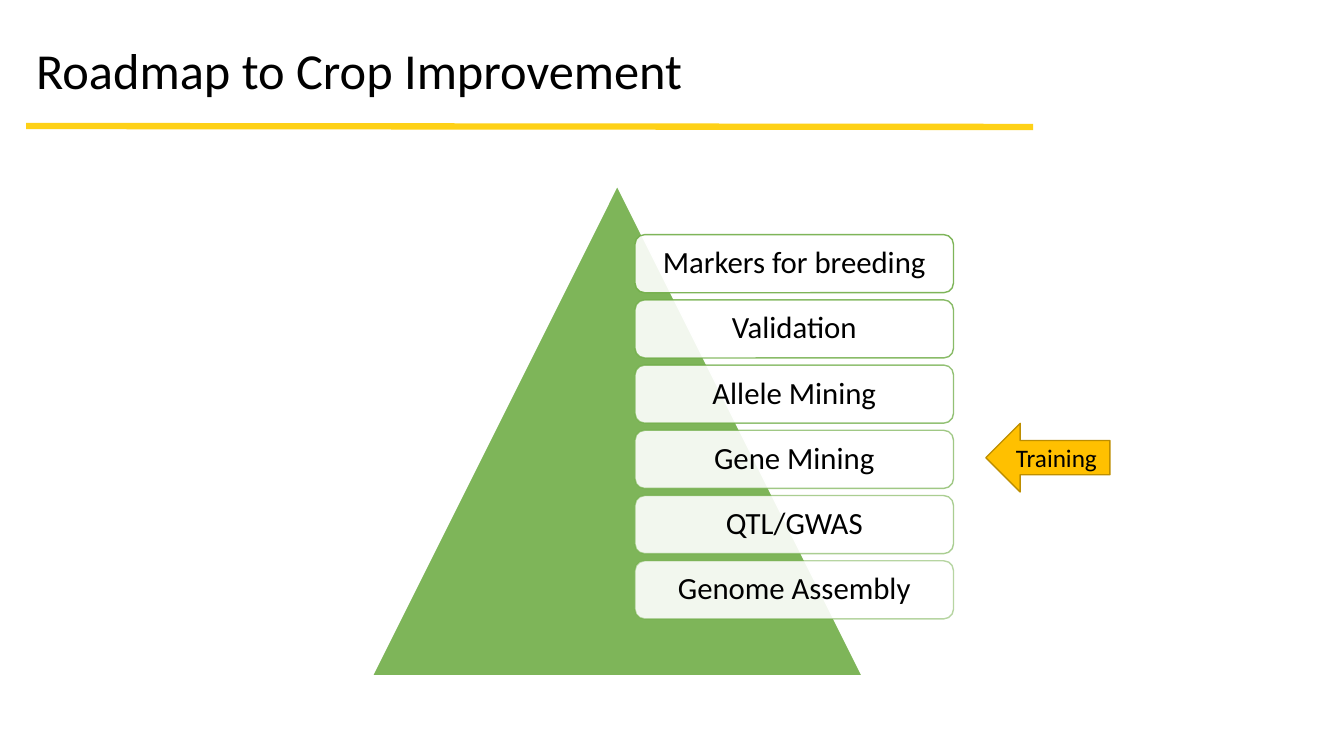
from lxml.etree import SubElement
from pptx import Presentation
from pptx.dml.color import RGBColor
from pptx.enum.shapes import MSO_CONNECTOR, MSO_SHAPE
from pptx.enum.text import MSO_ANCHOR, PP_ALIGN
from pptx.oxml.ns import qn
from pptx.util import Pt

STEPS = ["Markers for breeding", "Validation", "Allele Mining",
         "Gene Mining", "QTL/GWAS", "Genome Assembly"]
GREEN, GOLD, WHITE = "70AD47", "FFC000", "FFFFFF"
STEP_TOP, STEP_PITCH = 167.6, 46.6


def paint(fill, color, opacity=100):
    """Make a fill solid, with opacity in percent."""
    fill.solid()
    fill.fore_color.rgb = RGBColor.from_string(color)
    if opacity < 100:
        clr = fill._xPr.find(qn("a:solidFill"))[0]
        SubElement(clr, qn("a:alpha"), val=str(opacity * 1000))


def write(s, text, size=22, font="Calibri", color="000000",
          align=PP_ALIGN.CENTER, spacing=None, inset=7.2):
    tf = s.text_frame
    tf.word_wrap = True
    tf.vertical_anchor = MSO_ANCHOR.MIDDLE
    tf.margin_left = tf.margin_right = Pt(inset)
    tf.margin_top = tf.margin_bottom = Pt(3.6)
    p = tf.paragraphs[0]
    p.alignment = align
    p.line_spacing = spacing
    r = p.add_run()
    r.text = text
    r.font.name = font
    r.font.size = Pt(size)
    paint(r.font.fill, color)


class Deck:
    def __init__(self):
        self.prs = Presentation()
        self.prs.slide_width, self.prs.slide_height = Pt(960), Pt(540)
        self.slide = self.prs.slides.add_slide(self.prs.slide_layouts[6])

    def text(self, text, x, y, w, h, **fmt):
        s = self.slide.shapes.add_textbox(Pt(x), Pt(y), Pt(w), Pt(h))
        write(s, text, **fmt)

    def rule(self, x1, y1, x2, y2, color, width):
        s = self.slide.shapes.add_connector(
            MSO_CONNECTOR.STRAIGHT, Pt(x1), Pt(y1), Pt(x2), Pt(y2))
        paint(s.line.fill, color)
        s.line.width = Pt(width)
        SubElement(s._element.spPr, qn("a:effectLst"))

    def shape(self, kind, x, y, w, h, fill, line, fill_opacity=100, line_opacity=100):
        s = self.slide.shapes.add_shape(kind, Pt(x), Pt(y), Pt(w), Pt(h))
        s.shadow.inherit = False
        paint(s.fill, fill, fill_opacity)
        paint(s.line.fill, line, line_opacity)
        s.line.width = Pt(1)
        return s


def main():
    deck = Deck()
    deck.rule(738, 90.7, 18.7, 90, "FED117", 4.5)
    deck.text("Roadmap to Crop Improvement", 18.7, 21.6, 719.3, 61.2,
              size=36, align=PP_ALIGN.LEFT, spacing=0.9)
    deck.shape(MSO_SHAPE.ISOSCELES_TRIANGLE, 265.9, 132.7, 350, 350,
               GREEN, WHITE, fill_opacity=90)
    for i, step in enumerate(STEPS):
        s = deck.shape(MSO_SHAPE.ROUNDED_RECTANGLE, 453.6, STEP_TOP + i * STEP_PITCH,
                       227.5, 41.5, WHITE, GREEN, 90, 90 - 8 * i)
        write(s, step, spacing=0.9)
    arrow = deck.shape(MSO_SHAPE.LEFT_ARROW, 704.2, 302.4, 88.6, 49, GOLD, "BD8E00")
    write(arrow, "Training", size=18)
    deck.prs.save("out.pptx")


if __name__ == "__main__":
    main()
